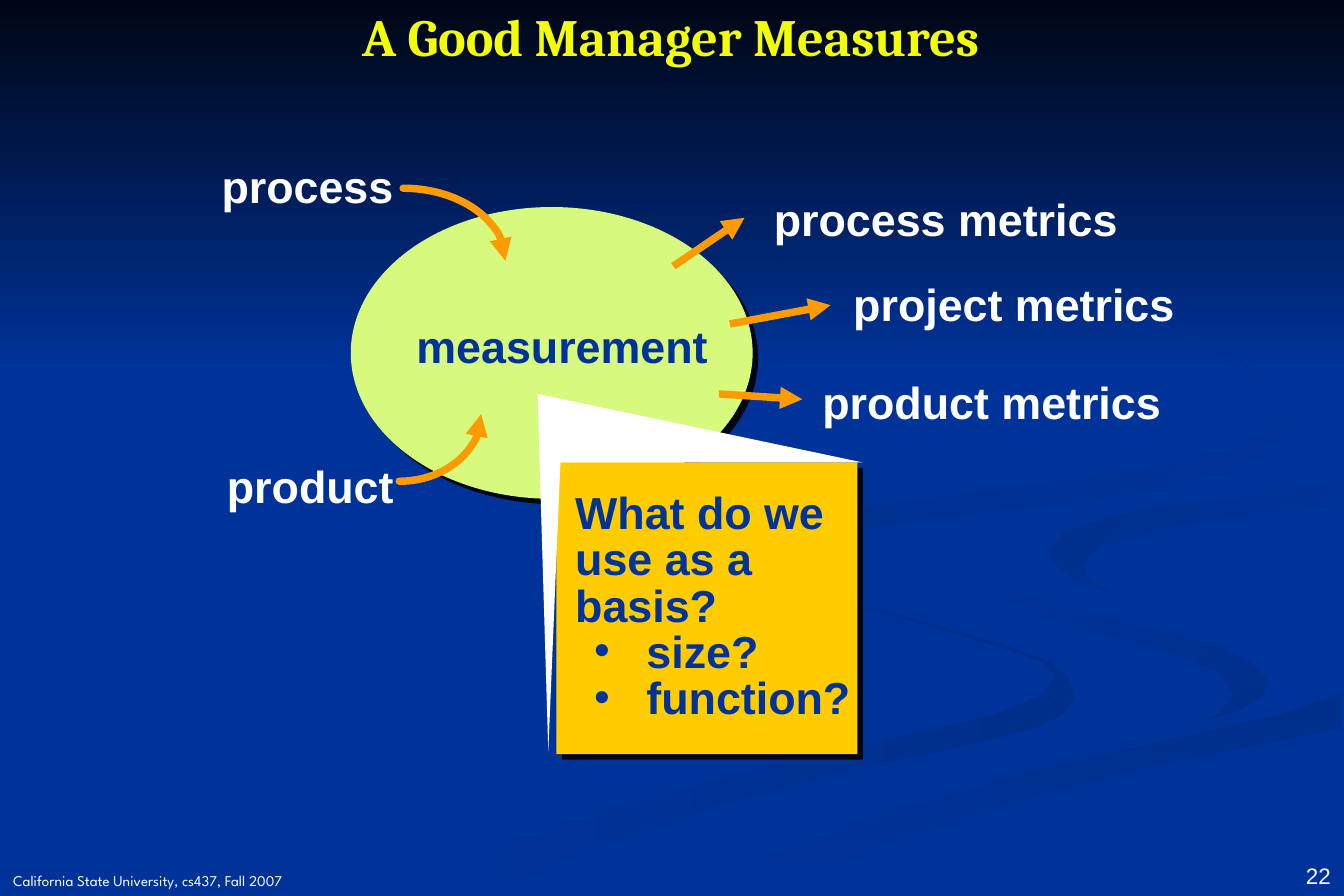
"""Build a slide on what a good manager measures."""
from lxml.etree import SubElement
from pptx import Presentation
from pptx.dml.color import RGBColor
from pptx.enum.shapes import MSO_CONNECTOR, MSO_SHAPE
from pptx.enum.text import MSO_ANCHOR, MSO_AUTO_SIZE, PP_ALIGN
from pptx.oxml.ns import qn
from pptx.util import Inches, Pt

COLS, ROWS = 100, 66.64
CELL = Inches(0.1)

THEME = {
    "navy": "003399", "night": "000514", "shade": "002E8B", "white": "FFFFFF",
    "lemon": "F3FF07", "lime": "D7FA7E", "gold": "FFCC00", "orange": "FE9B03",
    "head": ("Cambria", 28, True), "label": ("Arial", 24, True),
    "foot": ("League Spartan", 8, False), "page": ("Arial", 12, False),
}

TITLE = "A Good Manager Measures"
FOOT, PAGE = "California State University, cs437, Fall 2007", "22"
QUERY = "What do we\vuse as a\vbasis?"
BASES = ["size?", "function?"]
LABELS = [
    ("measurement", 30, 23.2, 23.7, "navy"),
    ("project metrics", 62.5, 20.1, 25.9, "white"),
    ("process metrics", 56.6, 13.8, 27.6, "white"),
    ("process", 15.5, 11.3, 14.8, "white"),
    ("product", 15.9, 33.6, 14.4, "white"),
    ("product metrics", 60.2, 27.4, 27.2, "white"),
]
ARROWS = [(50.1, 19.8, 55.4, 16.2), (54.3, 24.1, 61.8, 22.7), (53.5, 29.3, 59.7, 29.7)]
ARCS = [
    (30, 19.4, 7.6, 5.4, 162, 0, "tailEnd"),
    (29.7, 30.8, 6.1, 5, 0, 54, "headEnd"),
]
FLAPS = [
    [(40, 29.3), (64.2, 34.4), (41.7, 34.4)],
    [(40, 29.3), (40.8, 55.9), (41.7, 34.4)],
]
SWIRLS = [
    ("navy", "shade", 0, [
        (78.1, 49.2), (74.5, 47.9), (68.2, 46.1), (62.6, 44.6), (59.4, 43.2),
        (57.6, 41.8), (57.5, 40.9), (57, 42), (58.1, 43), (61.1, 44.4),
        (67.9, 46.2), (74.1, 48), (77.6, 49.2), (78.6, 50.3), (77.4, 51.8),
        (73.9, 53.2), (68.4, 54.5), (57.9, 56.8), (45.8, 60), (37.6, 62.9),
        (30, 66.6), (36.1, 66.6), (43.1, 63.5), (53.2, 60), (62.3, 57.5),
        (72.1, 55.4), (76.9, 54.2), (79.1, 53.1), (80, 51.7), (79.5, 50.4)]),
    ("navy", "shade", 45, [
        (94.3, 50.7), (93, 49.2), (90.5, 48.1), (87, 47.1), (79.2, 45.3),
        (74.5, 43.6), (72.7, 42.2), (72.4, 41.3), (72.7, 42.6), (74.6, 44.5),
        (78.1, 46), (83.8, 47.6), (88, 48.8), (90.7, 50), (91.8, 51.7),
        (90.7, 53.1), (89.4, 53.7), (92.5, 52.7), (94.1, 51.7)]),
    ("shade", "navy", 90, [
        (50.3, 66.6), (57.1, 66.6), (60, 65.2), (67, 62.4), (75.2, 59.7),
        (86.1, 56.9), (99.8, 54.2), (99.8, 51.6), (95, 53.2), (86.7, 55.1),
        (76.4, 57.5), (66.2, 60.5), (56.9, 63.9), (51.9, 66.4)]),
    ("shade", "navy", 45, [
        (78.1, 40.9), (78.2, 41.7), (79.7, 42.9), (82.6, 44.1), (80.9, 43),
        (80.5, 42), (81.6, 40.8), (85.9, 39.4), (93.6, 38.1), (99.8, 37.4),
        (99.8, 35.8), (93.3, 36.9), (86.5, 37.7), (82.1, 38.5), (79.1, 39.7)]),
    ("shade", "navy", 45, [
        (69.5, 38.5), (79.7, 37.4), (87.3, 36.1), (92.6, 34.6), (95.4, 32.7),
        (96, 31.2), (95, 28.8), (92.2, 26.7), (86.8, 24.2), (81.7, 22.4),
        (79.5, 21.7), (87.5, 24.6), (92, 26.8), (94.9, 29.1), (95.3, 31),
        (93.8, 32.6), (90.8, 33.8), (86.4, 34.8), (75.8, 36.3), (65.1, 37.6),
        (59.7, 38.8), (57, 39.9), (56.1, 41.2), (57, 42.7), (59.5, 43.7),
        (61.8, 44.4), (58.6, 42.7), (58.3, 41.5), (59.8, 40.4), (63.4, 39.4)]),
]


def hue(name):
    return RGBColor.from_string(THEME[name])


def span(*sizes):
    return [round(n * CELL) for n in sizes]


def put(shape, *box):
    shape.left, shape.top, shape.width, shape.height = span(*box)


def paint(shape, name):
    shape.shadow.inherit = False
    shape.line.fill.background()
    shape.fill.solid()
    shape.fill.fore_color.rgb = hue(name)


def blend(shape, first, last, angle):
    paint(shape, first)
    shape.fill.gradient()
    shape.fill.gradient_angle = (360 - angle) % 360
    for stop, name in zip(shape.fill.gradient_stops, (first, last)):
        stop.color.rgb = hue(name)


def cast(shape):
    glow = shape.element.spPr.find(qn("a:effectLst"))
    drop = SubElement(glow, qn("a:outerShdw"), dist=str(Pt(4.2)), dir="2700000", algn="ctr", rotWithShape="0")
    SubElement(drop, qn("a:srgbClr"), val=THEME["night"])


def stroke(shape, end):
    shape.line.color.rgb = hue("orange")
    shape.line.width = Pt(4)
    SubElement(shape.line._get_or_add_ln(), qn("a:" + end), type="triangle")


def trace(shapes, points):
    path = shapes.build_freeform(*span(*points[0]), scale=1)
    path.add_line_segments([span(*p) for p in points[1:]], close=True)
    return path.convert_to_shape()


def style(para, kind, color):
    for run in para.runs:
        run.font.name, size, run.font.bold = THEME[kind]
        run.font.size = Pt(size)
        run.font.color.rgb = hue(color)


def write(shapes, text, box, kind, color):
    area = shapes.add_textbox(*span(*box))
    area.text_frame.text = text
    para = area.text_frame.paragraphs[0]
    style(para, kind, color)
    return area.text_frame, para


def query(body):
    put(body, 41.8, 36.1, 23.5, 18.5)
    frame = body.text_frame
    frame.auto_size = MSO_AUTO_SIZE.NONE
    frame.text = "\n".join([QUERY, *BASES])
    for row, para in enumerate(frame.paragraphs):
        props = para._p.get_or_add_pPr()
        props.set("marL", str(Inches(0.53) if row else 0))
        props.set("indent", str(Inches(-0.39) if row else 0))
        if row:
            SubElement(props, qn("a:buFont"), typeface="Arial")
            SubElement(props, qn("a:buChar"), char="•")
        else:
            SubElement(props, qn("a:buNone"))
        para.space_before = Pt(0)
        para.line_spacing = Pt(24.8)
        style(para, "label", "navy")


def main():
    deck = Presentation()
    deck.slide_width, deck.slide_height = span(COLS, ROWS)
    slide = deck.slides.add_slide(deck.slide_layouts[1])
    shapes = slide.shapes
    slide.background.fill.solid()
    slide.background.fill.fore_color.rgb = hue("navy")
    title, body = shapes.title, slide.placeholders[1]

    sky = shapes.add_shape(MSO_SHAPE.RECTANGLE, *span(0, 0, COLS, 27.4))
    blend(sky, "night", "navy", 90)
    for first, last, angle, points in SWIRLS:
        blend(trace(shapes, points), first, last, angle)

    frame, para = write(shapes, FOOT, (0, 62, 84.2, 4.64), "foot", "white")
    frame.vertical_anchor, para.line_spacing = MSO_ANCHOR.BOTTOM, 0.9
    frame, para = write(shapes, PAGE, (93.1, 62, 6.9, 4.64), "page", "white")
    frame.vertical_anchor, para.alignment = MSO_ANCHOR.BOTTOM, PP_ALIGN.RIGHT

    for form, box, name in (
        (MSO_SHAPE.OVAL, (26.1, 15.4, 29.9, 21.7), "lime"),
        (MSO_SHAPE.RECTANGLE, (41.4, 34.4, 22.4, 21.7), "gold"),
    ):
        shape = shapes.add_shape(form, *span(*box))
        paint(shape, name)
        cast(shape)

    for text, left, top, width, color in LABELS:
        frame, para = write(shapes, text, (left, top, width, 5), "label", color)
        frame.word_wrap = False
        frame.auto_size = MSO_AUTO_SIZE.SHAPE_TO_FIT_TEXT

    for x, y, wide, high, start, stop, end in ARCS:
        arc = shapes.add_shape(MSO_SHAPE.ARC, *span(x - wide, y - high, 2 * wide, 2 * high))
        arc.adjustments[0], arc.adjustments[1] = start, stop
        arc.shadow.inherit = False
        arc.fill.background()
        stroke(arc, end)
        arc.line._get_or_add_ln().set("cap", "rnd")
    for ends in ARROWS:
        line = shapes.add_connector(MSO_CONNECTOR.STRAIGHT, *span(*ends))
        stroke(line, "tailEnd")
        SubElement(line.element.spPr, qn("a:effectLst"))
    for points in FLAPS:
        paint(trace(shapes, points), "white")

    put(title, 24.1, 0, 51.6, 5.2)
    frame = title.text_frame
    frame.text = TITLE
    frame.vertical_anchor, frame.auto_size = MSO_ANCHOR.TOP, MSO_AUTO_SIZE.NONE
    frame.margin_left = frame.margin_right = Inches(0.07)
    frame.margin_top = frame.margin_bottom = Inches(0.03)
    frame.paragraphs[0].alignment = PP_ALIGN.CENTER
    style(frame.paragraphs[0], "head", "lemon")
    query(body)
    for holder in (title, body):
        shapes.element.append(holder.element)
    deck.save("out.pptx")


if __name__ == "__main__":
    main()
